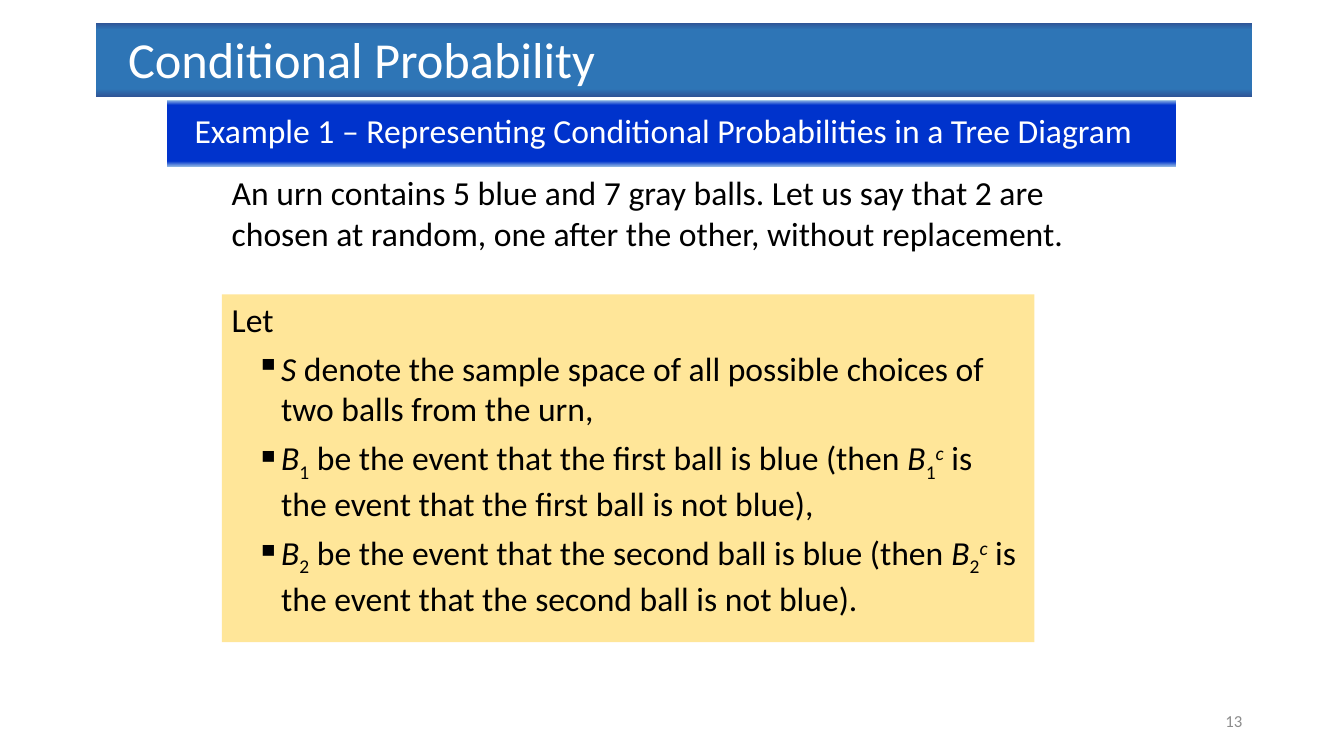
from lxml.etree import SubElement
from pptx import Presentation
from pptx.dml.color import RGBColor
from pptx.enum.shapes import MSO_SHAPE
from pptx.enum.text import MSO_ANCHOR, PP_ALIGN
from pptx.oxml.ns import qn
from pptx.util import Inches, Pt

BLACK = RGBColor(0, 0, 0)
WHITE = RGBColor(0xFF, 0xFF, 0xFF)
GRAY = RGBColor(0x8C, 0x8C, 0x8C)
CREAM = RGBColor(0xFF, 0xE6, 0x99)
NAVY = RGBColor(0x2F, 0x55, 0x97)
BLUE = RGBColor(0x2E, 0x75, 0xB6)
SKY = RGBColor(0x9D, 0xC3, 0xE6)
ROYAL = RGBColor(0x00, 0x33, 0xCC)


class Deck:
    """Hold the text style and the current slide, and add elements to it."""

    font = "Calibri"

    def __init__(self, slide):
        self.slide = slide

    def text(self, box):
        shape = self.slide.shapes.add_textbox(*map(Inches, box))
        shape.text_frame.word_wrap = True
        return shape.text_frame

    def rect(self, box):
        shape = self.slide.shapes.add_shape(MSO_SHAPE.RECTANGLE, *map(Inches, box))
        shape.shadow.inherit = False
        shape.line.fill.background()
        shape.text_frame.word_wrap = True
        shape.text_frame.vertical_anchor = MSO_ANCHOR.TOP
        return shape

    def panel(self, box, color):
        shape = self.rect(box)
        shape.fill.solid()
        shape.fill.fore_color.rgb = color
        return shape.text_frame

    def banner(self, box, stops, words, size, left, top):
        shape = self.rect(box)
        shape.fill.gradient()
        shape.fill.gradient_angle = 90
        items = shape._element.spPr.find(qn("a:gradFill")).find(qn("a:gsLst"))
        for old in list(items):
            items.remove(old)
        for place, color in stops:
            stop = SubElement(items, qn("a:gs"), pos=str(place * 1000))
            SubElement(stop, qn("a:srgbClr"), val=str(color))
        frame = shape.text_frame
        frame.margin_left, frame.margin_top = Inches(left), Inches(top)
        self.put(frame.paragraphs[0], [(words, "")], size, WHITE)

    def put(self, para, runs, size=24, color=BLACK, align=PP_ALIGN.LEFT, after=0, mark=None):
        """Add runs of (words, style), where style is "", "i", "sub" or "sup"."""
        if mark:
            props = para._p.get_or_add_pPr()
            props.set("marL", str(Inches(0.49)))
            props.set("indent", str(Inches(-0.25)))
            SubElement(props, qn("a:buChar"), char=mark)
        para.alignment = align
        para.space_after = Pt(after)
        for words, style in runs:
            run = para.add_run()
            run.text = words
            font = run.font
            font.name, font.size = self.font, Pt(size)
            font.color.rgb = color
            font.italic = style in ("i", "sup")
            if style in ("sub", "sup"):
                shift = -25000 if style == "sub" else 30000
                font._element.set("baseline", str(shift))


def event(num, name, end):
    """Return the runs that define one event and its complement."""
    ball = [("B", "i"), (num, "sub")]
    return [*ball, (f" be the event that the {name} ball is blue (then ", ""),
            *ball, ("c", "sup"),
            (f" is the event that the {name} ball is not blue){end}", "")]


def main():
    """Build the slide and save it."""
    show = Presentation()
    show.slide_width, show.slide_height = Inches(13.33), Inches(7.5)
    deck = Deck(show.slides.add_slide(show.slide_layouts[6]))

    page = deck.text((9.42, 6.95, 3, 0.4))
    page.vertical_anchor = MSO_ANCHOR.MIDDLE
    deck.put(page.paragraphs[0], [("13", "")], 12, GRAY, PP_ALIGN.RIGHT)

    intro = deck.text((2.2, 1.66, 8.93, 1.05))
    deck.put(intro.paragraphs[0], [(
        "An urn contains 5 blue and 7 gray balls. Let us say that 2 are "
        "chosen at random, one after the other, without replacement.", "")], after=6)

    deck.banner((1.66, 0.99, 10, 0.67),
                [(0, SKY), (9, ROYAL), (92, ROYAL), (100, SKY)],
                "Example 1 – Representing Conditional Probabilities in a Tree Diagram",
                24, 0.27, 0.1)

    terms = deck.panel((2.2, 2.92, 8.06, 3.45), CREAM)
    deck.put(terms.paragraphs[0], [("Let", "")], after=6)
    space = [("S", "i"), (" denote the sample space of all possible choices of "
                          "two balls from the urn,", "")]
    for runs in (space, event("1", "first", ","), event("2", "second", ".")):
        deck.put(terms.add_paragraph(), runs, after=6, mark="▪")

    deck.banner((0.95, 0.23, 11.47, 0.73),
                [(0, NAVY), (11, BLUE), (91, BLUE), (100, NAVY)],
                "Conditional Probability", 36, 0.32, 0.05)

    show.save("out.pptx")


if __name__ == "__main__":
    main()
